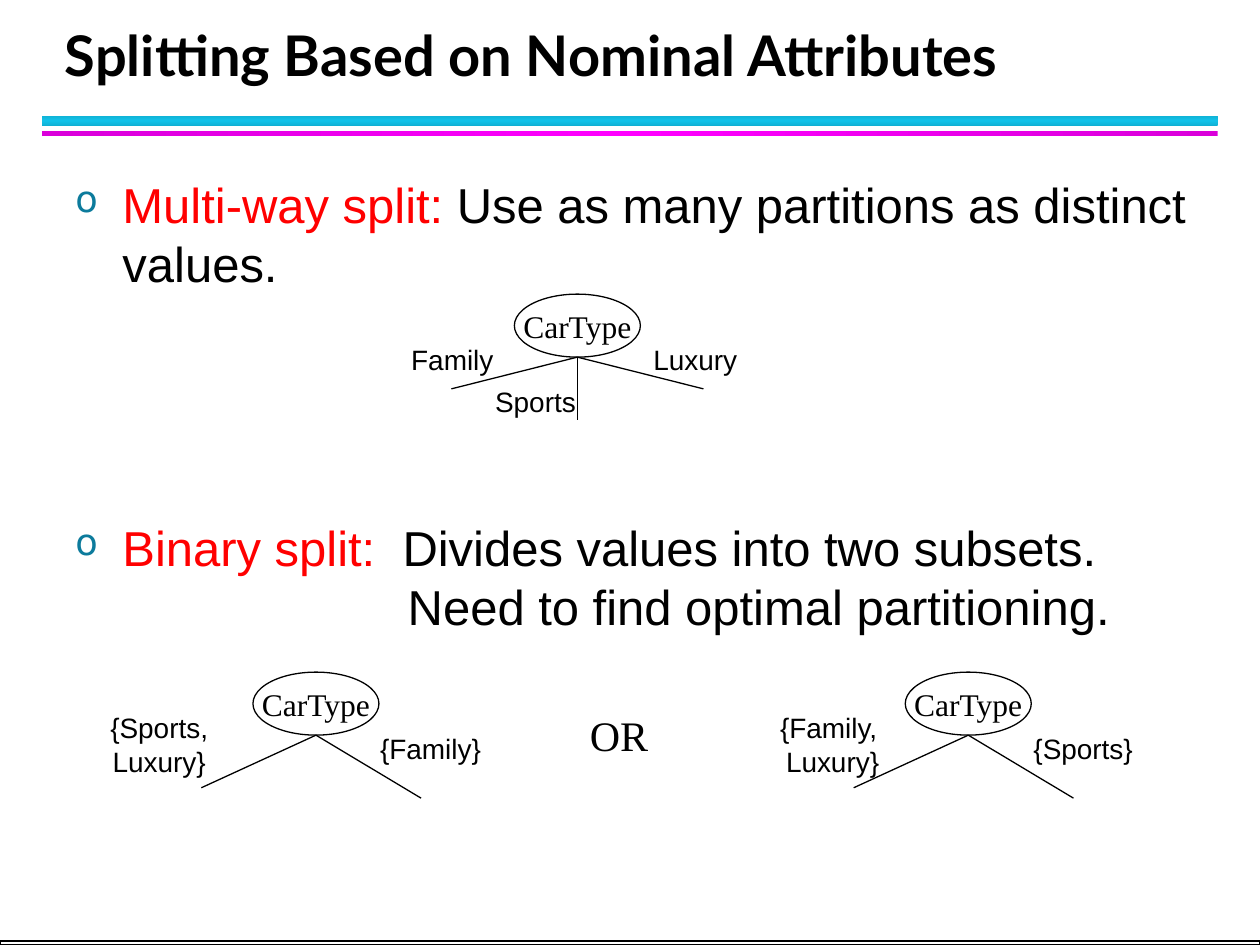
from copy import deepcopy
from dataclasses import dataclass

from pptx import Presentation
from pptx.dml.color import RGBColor
from pptx.enum.shapes import MSO_CONNECTOR, MSO_SHAPE
from pptx.enum.text import MSO_ANCHOR, PP_ALIGN
from pptx.oxml.ns import qn
from pptx.oxml.xmlchemy import OxmlElement
from pptx.util import Cm, Pt

RECT, OVAL = MSO_SHAPE.RECTANGLE, MSO_SHAPE.OVAL
LINE = MSO_CONNECTOR.STRAIGHT
TOP, MIDDLE, BOTTOM = MSO_ANCHOR.TOP, MSO_ANCHOR.MIDDLE, MSO_ANCHOR.BOTTOM
CENTER = PP_ALIGN.CENTER


@dataclass(frozen=True)
class Theme:
    black: str = "000000"
    white: str = "FFFFFF"
    red: str = "FF0000"
    bullet: str = "0C7B9C"
    cyan: tuple = ("10B0D3", "12C2E9", "10B0D3")
    pink: tuple = ("DA00DA", "FF00FF", "DA00DA")
    head: str = "Lato"
    sans: str = "Arial"
    serif: str = "Times New Roman"
    title: int = 32
    body: int = 28
    join: int = 24
    node: int = 18
    label: int = 16


THEME = Theme()


@dataclass(frozen=True)
class Label:
    """Text of a branch, placed in cm from the node's top left."""
    text: str
    left: float
    top: float
    width: float
    height: float = 0.94
    wrap: bool = False


@dataclass(frozen=True)
class Tree:
    """A node with branch ends in cm from the node's foot."""
    left: float
    top: float
    ends: tuple
    labels: tuple


THREE = ((-2.54, 0.64), (0, 1.27), (2.54, 0.64))
TWO = ((-2.31, 1.06), (2.12, 1.27))
NODE_W, NODE_H = 2.54, 1.27

TREES = (
    Tree(10.37, 5.93, THREE, (
        Label("Family", -2.33, 0.85, 2.16),
        Label("Sports", -0.64, 1.69, 2.13),
        Label("Luxury", 2.54, 0.85, 2.21))),
    Tree(18.25, 13.55, TWO, (
        Label("{Family, \nLuxury}", -2.8, 0.64, 2.67, 1.63),
        Label("{Sports}", 2.33, 1.06, 2.51))),
    Tree(5.1, 13.55, TWO, (
        Label("{Sports, Luxury}", -3.2, 0.64, 2.62, 1.63, True),
        Label("{Family}", 2.31, 1.06, 2.54))),
)


def shade(text: str) -> RGBColor:
    return RGBColor.from_string(text)


def add_run(para, text: str, font: str, size: int,
            color: str = THEME.black, bold: bool = False) -> None:
    for row, part in enumerate(text.split("\n")):
        if row:
            para.add_line_break()
        run = para.add_run()
        run.text = part
        run.font.name, run.font.size, run.font.bold = font, Pt(size), bold
        run.font.color.rgb = shade(color)


def add_box(shapes, left: float, top: float, width: float, height: float,
            anchor=MIDDLE, wrap: bool = True):
    box = shapes.add_textbox(Cm(left), Cm(top), Cm(width), Cm(height))
    frame = box.text_frame
    frame.word_wrap, frame.vertical_anchor = wrap, anchor
    return frame


def add_bar(slide, top: float, height: float, colors: tuple, angle: int) -> None:
    bar = slide.shapes.add_shape(RECT, Cm(0.85), Cm(top), Cm(23.7), Cm(height))
    bar.shadow.inherit = False
    bar.line.fill.background()
    bar.fill.gradient()
    bar.fill.gradient_angle = angle
    stops = bar.element.spPr.find(".//" + qn("a:gsLst"))
    stops.insert(1, deepcopy(stops[0]))
    for stop, color, place in zip(bar.fill.gradient_stops, colors, (0, 0.5, 1)):
        stop.color.rgb = shade(color)
        stop.position = place


def add_frame(shapes, kind, left: float, top: float, width: float,
              height: float, weight: float):
    """Draw a white shape with a black outline."""
    shape = shapes.add_shape(kind, Cm(left), Cm(top), Cm(width), Cm(height))
    shape.shadow.inherit = False
    shape.fill.solid()
    shape.fill.fore_color.rgb = shade(THEME.white)
    shape.line.color.rgb = shade(THEME.black)
    shape.line.width = Pt(weight)
    return shape


def add_tree(slide, tree: Tree) -> None:
    shapes = slide.shapes.add_group_shape().shapes
    node = add_frame(shapes, OVAL, tree.left, tree.top, NODE_W, NODE_H, 0.75)
    frame = node.text_frame
    frame.word_wrap, frame.vertical_anchor = False, MIDDLE
    frame.paragraphs[0].alignment = CENTER
    add_run(frame.paragraphs[0], "CarType", THEME.serif, THEME.node)

    foot_x, foot_y = tree.left + NODE_W / 2, tree.top + NODE_H
    for right, down in tree.ends:
        branch = shapes.add_connector(LINE, Cm(foot_x), Cm(foot_y),
                                      Cm(foot_x + right), Cm(foot_y + down))
        branch.line.color.rgb = shade(THEME.black)
        branch.line.width = Pt(0.75)
        branch.element.spPr.append(OxmlElement("a:effectLst"))

    for label in tree.labels:
        frame = add_box(shapes, tree.left + label.left, tree.top + label.top,
                        label.width, label.height, wrap=label.wrap)
        frame.paragraphs[0].alignment = CENTER
        add_run(frame.paragraphs[0], label.text, THEME.sans, THEME.label)


def indent(para, left: float, first: float = 0) -> None:
    props = para._p.get_or_add_pPr()
    props.set("marL", str(Cm(left)))
    props.set("indent", str(Cm(first)))


def add_bullet(para) -> None:
    indent(para, 0.95, -0.95)
    props = para._p.get_or_add_pPr()
    color = OxmlElement("a:buClr")
    value = OxmlElement("a:srgbClr")
    value.set("val", THEME.bullet)
    color.append(value)
    size = OxmlElement("a:buSzPct")
    size.set("val", "75000")
    mark = OxmlElement("a:buChar")
    mark.set("char", "o")
    for item in (color, size, mark):
        props.append(item)


def add_body(slide) -> None:
    frame = add_box(slide.shapes, 1.27, 3.39, 23.28, 10.37, TOP)
    points = (
        ("Multi-way split:", " Use as many partitions as distinct values.", 2.8, 4),
        ("Binary split:", "  Divides values into two subsets.", 125, 0),
    )
    para = frame.paragraphs[0]
    for term, text, before, after in points:
        para.space_before, para.space_after = Pt(before), Pt(after)
        add_bullet(para)
        add_run(para, term, THEME.sans, THEME.body, THEME.red)
        add_run(para, text, THEME.sans, THEME.body)
        para = frame.add_paragraph()
    indent(para, 6.7)
    add_run(para, "Need to find optimal partitioning.", THEME.sans, THEME.body)


def main() -> None:
    deck = Presentation()
    deck.slide_width, deck.slide_height = Cm(25.4), Cm(19.05)
    slide = deck.slides.add_slide(deck.slide_layouts[6])

    add_bar(slide, 2.33, 0.21, THEME.cyan, 90)
    add_bar(slide, 2.65, 0.1, THEME.pink, 0)
    add_frame(slide.shapes, RECT, 0, 18.97, 25.4, 0.08, 1)

    title = add_box(slide.shapes, 1.06, 0.42, 23.92, 1.48, BOTTOM).paragraphs[0]
    title.line_spacing = Pt(36)
    add_run(title, "Splitting Based on Nominal Attributes",
            THEME.head, THEME.title, bold=True)

    add_body(slide)
    for tree in TREES:
        add_tree(slide, tree)

    join = add_box(slide.shapes, 11.64, 14.18, 1.68, 1.27, wrap=False).paragraphs[0]
    join.alignment = CENTER
    add_run(join, "OR", THEME.serif, THEME.join)

    deck.save("out.pptx")


if __name__ == "__main__":
    main()
